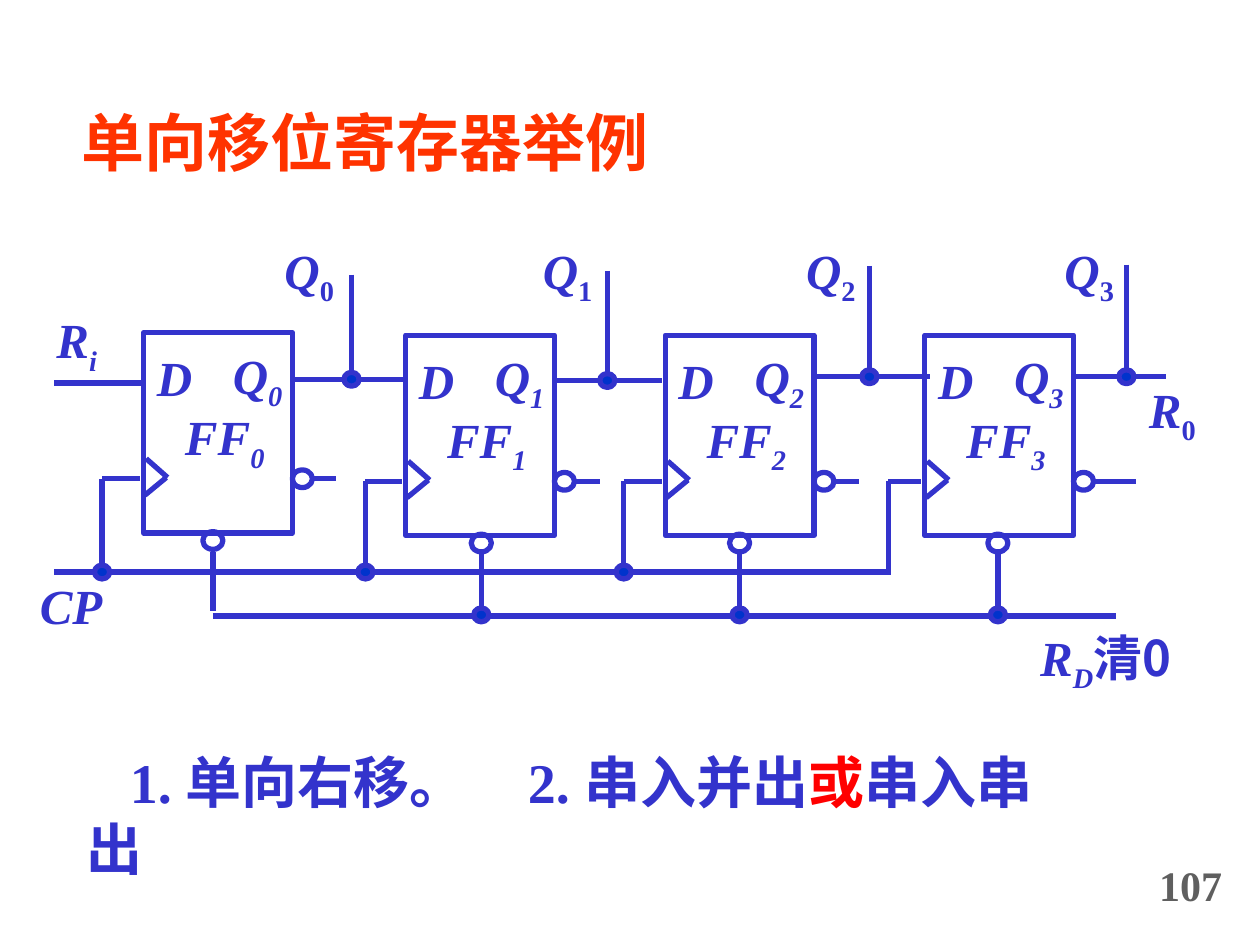
from dataclasses import dataclass

from lxml.etree import SubElement
from pptx import Presentation
from pptx.dml.color import RGBColor
from pptx.enum.shapes import MSO_CONNECTOR, MSO_SHAPE
from pptx.enum.text import MSO_ANCHOR, MSO_AUTO_SIZE, PP_ALIGN
from pptx.oxml.ns import qn
from pptx.util import Inches, Pt

COLORS = {"ink": "3333CC", "dot": "0033CC", "title": "FF3300",
          "accent": "FF0000", "page": "5F5F5F"}
LATIN, CHINESE = "Times New Roman", "Noto Sans CJK SC"
STAGE_WIDTH, STAGE_HEIGHT = 1.18, 1.59
CLOCK_BUS_Y, CLEAR_BUS_Y = 4.54, 4.89


@dataclass
class Piece:
    text: str
    italic: bool = True
    sub: bool = False
    color: str = "ink"
    font: str = LATIN


@dataclass
class Stage:
    left: float
    top: float
    clock_x: float
    clear_x: float
    tap_x: float
    tap_top: float
    label_x: float
    wire_y: float
    wire_end: float
    inverse_end: float


STAGES = [
    Stage(1.14, 2.64, 0.81, 1.69, 2.79, 2.18, 2.16, 3.01, 3.20, 2.67),
    Stage(3.22, 2.66, 2.90, 3.82, 4.82, 2.15, 4.21, 3.02, 5.25, 4.76),
    Stage(5.28, 2.66, 4.95, 5.87, 6.90, 2.11, 6.30, 2.99, 7.38, 6.82),
    Stage(7.34, 2.66, 7.05, 7.92, 8.94, 2.10, 8.35, 2.99, 9.25, 9.02),
]


def paint(color_format, name: str) -> None:
    color_format.rgb = RGBColor.from_string(COLORS[name])


def wire(slide, x1: float, y1: float, x2: float, y2: float) -> None:
    line = slide.shapes.add_connector(MSO_CONNECTOR.STRAIGHT, Inches(x1), Inches(y1),
                                      Inches(x2), Inches(y2))
    line.line.width = Pt(3)
    paint(line.line.color, "ink")
    SubElement(line._element.spPr, qn("a:effectLst"))


def outline(slide, kind, left: float, top: float, width: float, height: float,
            fill: str = "") -> None:
    shape = slide.shapes.add_shape(kind, Inches(left), Inches(top),
                                   Inches(width), Inches(height))
    shape.shadow.inherit = False
    shape.line.width = Pt(3)
    paint(shape.line.color, "ink")
    if fill:
        shape.fill.solid()
        paint(shape.fill.fore_color, fill)
    else:
        shape.fill.background()


def junction(slide, x: float, y: float) -> None:
    outline(slide, MSO_SHAPE.OVAL, x - 0.06, y - 0.055, 0.12, 0.11, "dot")


def bubble(slide, left: float, top: float) -> None:
    outline(slide, MSO_SHAPE.OVAL, left, top, 0.16, 0.14)


def write(shape, pieces: list[Piece], size: float, align=PP_ALIGN.LEFT) -> None:
    frame = shape.text_frame
    frame.word_wrap = True
    frame.auto_size = MSO_AUTO_SIZE.NONE
    frame.vertical_anchor = MSO_ANCHOR.TOP
    paragraph = frame.paragraphs[0]
    paragraph.alignment = align
    paragraph.space_before = Pt(0)
    for piece in pieces:
        run = paragraph.add_run()
        run.text = piece.text
        font = run.font
        font.size, font.bold, font.italic = Pt(size), True, piece.italic
        paint(font.color, piece.color)
        font.name = piece.font
        SubElement(font._element, qn("a:ea")).set("typeface", CHINESE)
        if piece.sub:
            font._element.set("baseline", "-25000")


def label(slide, left: float, top: float, width: float, height: float,
          pieces: list[Piece], align=PP_ALIGN.LEFT, size: float = 28):
    box = slide.shapes.add_textbox(Inches(left), Inches(top), Inches(width), Inches(height))
    write(box, pieces, size, align)
    return box


def place(shape, left: float, top: float, width: float, height: float) -> None:
    shape.left, shape.top = Inches(left), Inches(top)
    shape.width, shape.height = Inches(width), Inches(height)


def draw_stage(slide, index: int, stage: Stage) -> None:
    left, top = stage.left, stage.top
    right, clock_y = left + STAGE_WIDTH, top + 1.16
    number = str(index)

    # Flip-flop body and its captions
    outline(slide, MSO_SHAPE.RECTANGLE, left, top, STAGE_WIDTH, STAGE_HEIGHT)
    label(slide, left - 0.17, top + 0.07, 0.83, 0.57, [Piece("D")], PP_ALIGN.CENTER)
    label(slide, left + 0.61, top + 0.05, 0.67, 0.63, [Piece("Q"), Piece(number, sub=True)])
    label(slide, left + 0.23, top + 0.54, 0.87, 0.63, [Piece("FF"), Piece(number, sub=True)])

    # Clock input
    wire(slide, left + 0.02, top + 1.0, left + 0.19, top + 1.15)
    wire(slide, left + 0.18, top + 1.15, left + 0.01, top + 1.29)
    wire(slide, stage.clock_x, clock_y, left - 0.03, clock_y)
    wire(slide, stage.clock_x, clock_y, stage.clock_x, 4.56)

    # Inverted output
    bubble(slide, right, top + 1.09)
    wire(slide, right + 0.15, clock_y, stage.inverse_end, clock_y)

    # Output wire with its parallel tap
    wire(slide, right, stage.wire_y, stage.wire_end, stage.wire_y)
    wire(slide, stage.tap_x, stage.tap_top, stage.tap_x, stage.wire_y)
    junction(slide, stage.tap_x, stage.wire_y)
    label(slide, stage.label_x, 1.86, 0.67, 0.63,
          [Piece("Q"), Piece(number, italic=False, sub=True)])

    # Clear input
    bubble(slide, stage.clear_x - 0.08, top + 1.58)
    wire(slide, stage.clear_x, 4.38, stage.clear_x, 4.85)


def main() -> None:
    prs = Presentation()
    prs.slide_width, prs.slide_height = Inches(10), Inches(7.5)
    slide = prs.slides.add_slide(prs.slide_layouts[1])
    title, summary = slide.placeholders[0], slide.placeholders[1]

    # Title
    place(title, 0.43, 0.84, 7.88, 0.64)
    write(title, [Piece("单向移位寄存器举例", False, color="title", font=CHINESE)], 36)
    heading = title.text_frame.paragraphs[0]
    heading.line_spacing = 0.9
    heading._p.get_or_add_pPr().set("marL", str(Inches(0.12)))

    # Shift register
    for index, stage in enumerate(STAGES):
        draw_stage(slide, index, stage)

    # Clock and clear buses; each joins one end stage at a corner
    wire(slide, 0.43, CLOCK_BUS_Y, STAGES[-1].clock_x, CLOCK_BUS_Y)
    wire(slide, STAGES[0].clear_x, CLEAR_BUS_Y, 8.86, CLEAR_BUS_Y)
    for stage in STAGES[:-1]:
        junction(slide, stage.clock_x, CLOCK_BUS_Y)
    for stage in STAGES[1:]:
        junction(slide, stage.clear_x, CLEAR_BUS_Y - 0.01)

    # Serial input and signal names
    wire(slide, 0.43, 3.04, STAGES[0].left, 3.04)
    label(slide, 0.35, 2.41, 0.67, 0.63, [Piece("R"), Piece("i", sub=True)])
    label(slide, 9.02, 2.96, 0.67, 0.63, [Piece("R"), Piece("0", italic=False, sub=True)])
    label(slide, 0.15, 4.52, 0.83, 0.57, [Piece("CP")], PP_ALIGN.CENTER)
    label(slide, 7.99, 4.93, 1.57, 0.63,
          [Piece("R"), Piece("D", sub=True), Piece("清0", False, font=CHINESE)],
          PP_ALIGN.CENTER)

    # Summary: first-line indent and a tab stop set the two items apart
    place(summary, 0.59, 5.88, 8.05, 1.17)
    properties = summary.text_frame.paragraphs[0]._p.get_or_add_pPr()
    properties.set("marL", "0")
    properties.set("indent", str(Inches(0.34)))
    SubElement(properties, qn("a:buNone"))
    tabs = SubElement(properties, qn("a:tabLst"))
    SubElement(tabs, qn("a:tab"), pos=str(Inches(3.52)), algn="l")
    write(summary, [Piece("1. 单向右移。\t2. 串入并出", False),
                    Piece("或", False, color="accent"),
                    Piece("串入串出", False)], 32)

    # Page number
    page = label(slide, 9.1, 6.82, 0.71, 0.46, [Piece("107", False, color="page")], size=24)
    page.text_frame.paragraphs[0].line_spacing = 0.9

    prs.save("out.pptx")


if __name__ == "__main__":
    main()
